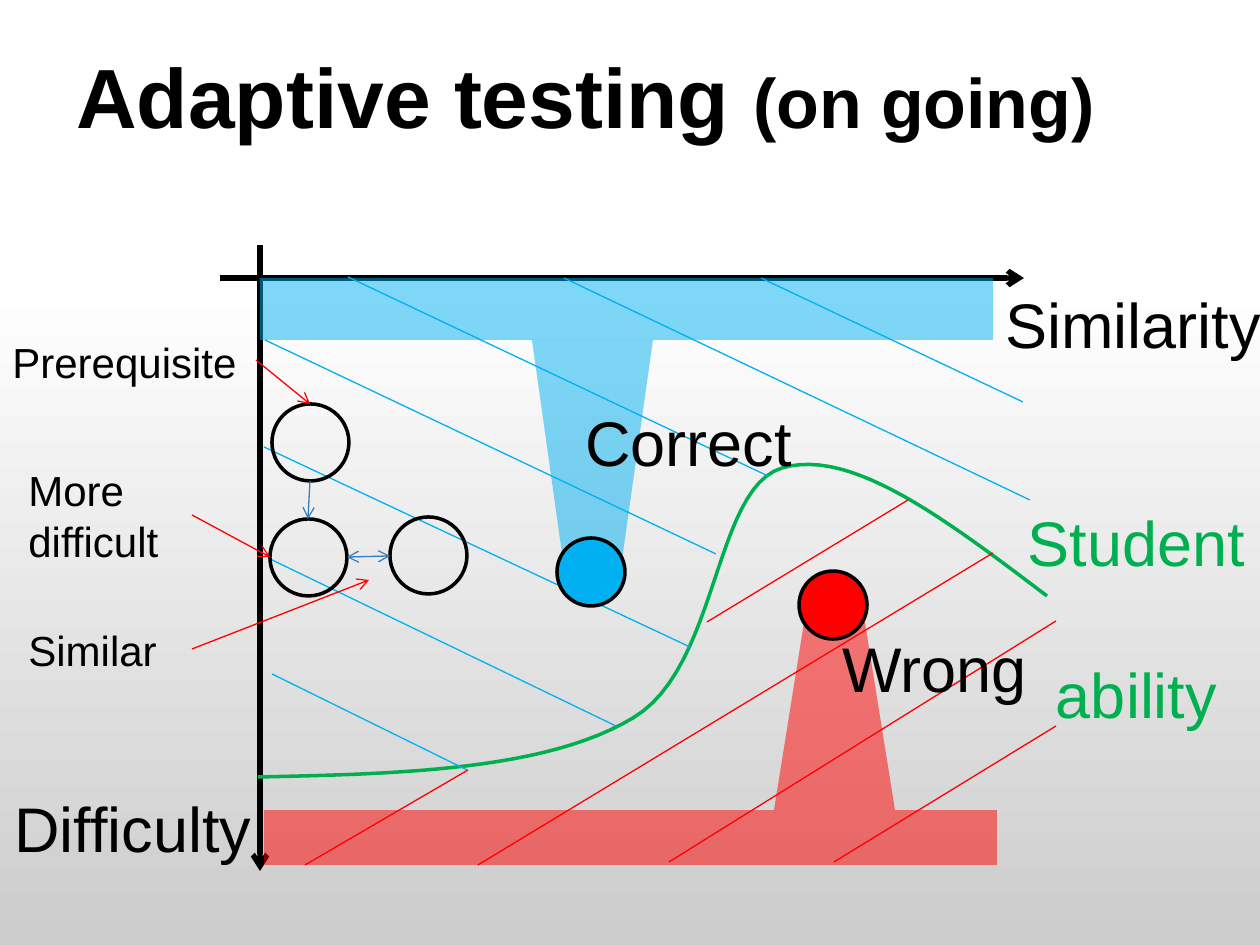
"""Draw the adaptive testing slide: student ability over similarity and difficulty."""
from typing import NamedTuple, Optional

from lxml import etree
from pptx import Presentation
from pptx import util as u
from pptx.dml import color
from pptx.enum import shapes as s, text as t
from pptx.oxml import ns

SCALE = 914400 / 126
BLACK, BLUE, RED, GREEN, STEEL = "000000", "00B0F0", "FF0000", "00B050", "367EB9"


class Line(NamedTuple):
    """A straight line with optional arrowheads."""
    x1: int
    y1: int
    x2: int
    y2: int
    hue: str
    width: float = 0.75
    tail: bool = False
    head: bool = False


class Shape(NamedTuple):
    """A preset shape, solid or half clear, with an optional outline."""
    kind: s.MSO_SHAPE
    x: int
    y: int
    w: int
    h: int
    fill: Optional[str] = None
    clear: bool = False
    edge: bool = False
    flip: bool = False


class Label(NamedTuple):
    """A text box whose lines are separate paragraphs."""
    x: int
    y: int
    w: int
    h: int
    lines: tuple[str, ...]
    size: int = 36
    hue: str = BLACK
    gap: int = 0
    align: t.PP_ALIGN = t.PP_ALIGN.LEFT


def px(n: float) -> u.Emu:
    """Turn px into EMU."""
    return u.Emu(round(n * SCALE))


def rgb(hue: str) -> color.RGBColor:
    """Turn a hex string into a colour."""
    return color.RGBColor.from_string(hue)


def sub(node, tag: str, **atts: str):
    """Append a child element."""
    return etree.SubElement(node, ns.qn(tag), **atts)


def stroke(line, hue: str, width: float) -> None:
    """Set the colour and width of a line."""
    line.color.rgb = rgb(hue)
    line.width = u.Pt(width)


def draw_line(slide, item: Line) -> None:
    """Draw a straight line."""
    ends = map(px, item[:4])
    link = slide.shapes.add_connector(s.MSO_CONNECTOR.STRAIGHT, *ends)
    stroke(link.line, item.hue, item.width)
    node = link.line._get_or_add_ln()
    if item.head:
        sub(node, "a:headEnd", type="arrow")
    if item.tail:
        sub(node, "a:tailEnd", type="arrow")
    sub(link._element.spPr, "a:effectLst")


def draw_shape(slide, item: Shape) -> None:
    """Draw a preset shape."""
    shape = slide.shapes.add_shape(item.kind, *map(px, item[1:5]))
    shape.shadow.inherit = False
    if item.fill:
        shape.fill.solid()
        shape.fill.fore_color.rgb = rgb(item.fill)
    else:
        shape.fill.background()
    if item.clear:
        tint = shape._element.spPr.find(".//" + ns.qn("a:srgbClr"))
        sub(tint, "a:alpha", val="50000")
    if item.edge:
        stroke(shape.line, BLACK, 2)
    else:
        shape.line.fill.background()
    if item.flip:
        shape._element.spPr.xfrm.set("flipV", "1")


def draw_label(slide, item: Label):
    """Draw a text box and return its frame."""
    frame = slide.shapes.add_textbox(*map(px, item[:4])).text_frame
    frame.word_wrap = True
    frame.text = "\n".join(item.lines)
    for i, par in enumerate(frame.paragraphs):
        par.alignment = item.align
        par.line_spacing = u.Pt(round(item.size * 1.22, 1))
        par.space_before = u.Pt(item.gap if i else 0)
        par.font.name = "Arial"
        par.font.size = u.Pt(item.size)
        par.font.color.rgb = rgb(item.hue)
    return frame


def draw_title(slide) -> None:
    """Draw the title with its smaller ending."""
    frame = draw_label(slide, Label(64, 15, 1134, 158, ("Adaptive testing ",), 48))
    frame.vertical_anchor = t.MSO_ANCHOR.MIDDLE
    par = frame.paragraphs[0]
    par.font.bold = True
    run = par.add_run()
    run.text = "(on going)"
    run.font.size = u.Pt(40)


def draw_curve(slide, knots: list[tuple[int, int]], steps: int = 24) -> None:
    """Draw joined cubic arcs; every third knot lies on the curve."""
    spots = []
    for k in range(0, len(knots) - 1, 3):
        for i in range(1, steps + 1):
            f = i / steps
            mix = ((1 - f) ** 3, 3 * f * (1 - f) ** 2, 3 * f * f * (1 - f), f ** 3)
            spots.append(tuple(px(sum(m * p[a] for m, p in zip(mix, knots[k:k + 4])))
                               for a in (0, 1)))
    pen = slide.shapes.build_freeform(*map(px, knots[0]), scale=1.0)
    pen.add_line_segments(spots, close=False)
    curve = pen.convert_to_shape()
    curve.shadow.inherit = False
    curve.fill.background()
    stroke(curve.line, GREEN, 2)


def shade(slide) -> None:
    """Fade the background from white to grey."""
    fill = slide.background.fill
    fill.gradient()
    fill.gradient_angle = 270
    for stop, hue, spot in zip(fill.gradient_stops, ("FFFFFF", "CCCCCC"), (0.3, 1)):
        stop.color.rgb = rgb(hue)
        stop.position = spot


AXES = [Line(220, 278, 1024, 278, BLACK, 3, True),
        Line(260, 245, 260, 871, BLACK, 3, True)]
CURVE = [(258, 777), (402, 774), (546, 770), (633, 718), (719, 667),
         (713, 489), (782, 468), (852, 447), (949, 522), (1047, 596)]
HATCH = [Line(*ends, hue) for hue, rows in (
    (BLUE, [(564, 278, 1030, 500), (761, 278, 1023, 402), (348, 277, 768, 476),
            (265, 340, 716, 554), (264, 447, 690, 647), (268, 558, 616, 726),
            (272, 674, 467, 770)]),
    (RED, [(908, 500, 707, 622), (993, 553, 478, 865), (468, 770, 305, 865),
           (1056, 621, 669, 862), (1056, 726, 834, 862)])) for ends in rows]
BOX, CONE, DISC = s.MSO_SHAPE.RECTANGLE, s.MSO_SHAPE.TRAPEZOID, s.MSO_SHAPE.OVAL
ZONES = [Shape(BOX, 260, 278, 733, 62, BLUE, clear=True),
         Shape(CONE, 532, 340, 121, 215, BLUE, clear=True, flip=True),
         Shape(DISC, 557, 538, 68, 68, BLUE, edge=True),
         Shape(BOX, 264, 810, 733, 55, RED, clear=True),
         Shape(CONE, 774, 621, 121, 189, RED, clear=True),
         Shape(DISC, 799, 571, 68, 68, RED, edge=True)]
NODES = [Shape(DISC, x, y, 77, 77, edge=True)
         for x, y in ((272, 404), (390, 517), (270, 519))]
LABELS = [Label(993, 278, 291, 89, ("Similarity",)),
          Label(2, 782, 270, 89, ("Difficulty",)),
          Label(573, 396, 261, 89, ("Correct",)),
          Label(830, 622, 261, 89, ("Wrong",)),
          Label(1008, 496, 257, 165, ("Student", "ability"), 36, GREEN, 43,
                t.PP_ALIGN.CENTER),
          Label(0, 329, 256, 63, ("Prerequisite",), 24),
          Label(16, 457, 175, 115, ("More difficult",), 24),
          Label(16, 617, 175, 63, ("Similar",), 24)]
ARROWS = [Line(310, 481, 308, 519, STEEL, tail=True),
          Line(192, 515, 270, 557, RED, tail=True),
          Line(256, 360, 310, 404, RED, tail=True),
          Line(347, 557, 390, 556, STEEL, tail=True, head=True),
          Line(192, 649, 369, 580, RED, tail=True)]


def main() -> None:
    """Build and save the slide."""
    deck = Presentation()
    deck.slide_width, deck.slide_height = px(1260), px(945)
    slide = deck.slides.add_slide(deck.slide_layouts[6])
    shade(slide)
    draw_title(slide)
    for item in AXES:
        draw_line(slide, item)
    draw_curve(slide, CURVE)
    for item in HATCH:
        draw_line(slide, item)
    for item in ZONES + NODES:
        draw_shape(slide, item)
    for item in LABELS:
        draw_label(slide, item)
    for item in ARROWS:
        draw_line(slide, item)
    deck.save("out.pptx")


if __name__ == "__main__":
    main()
